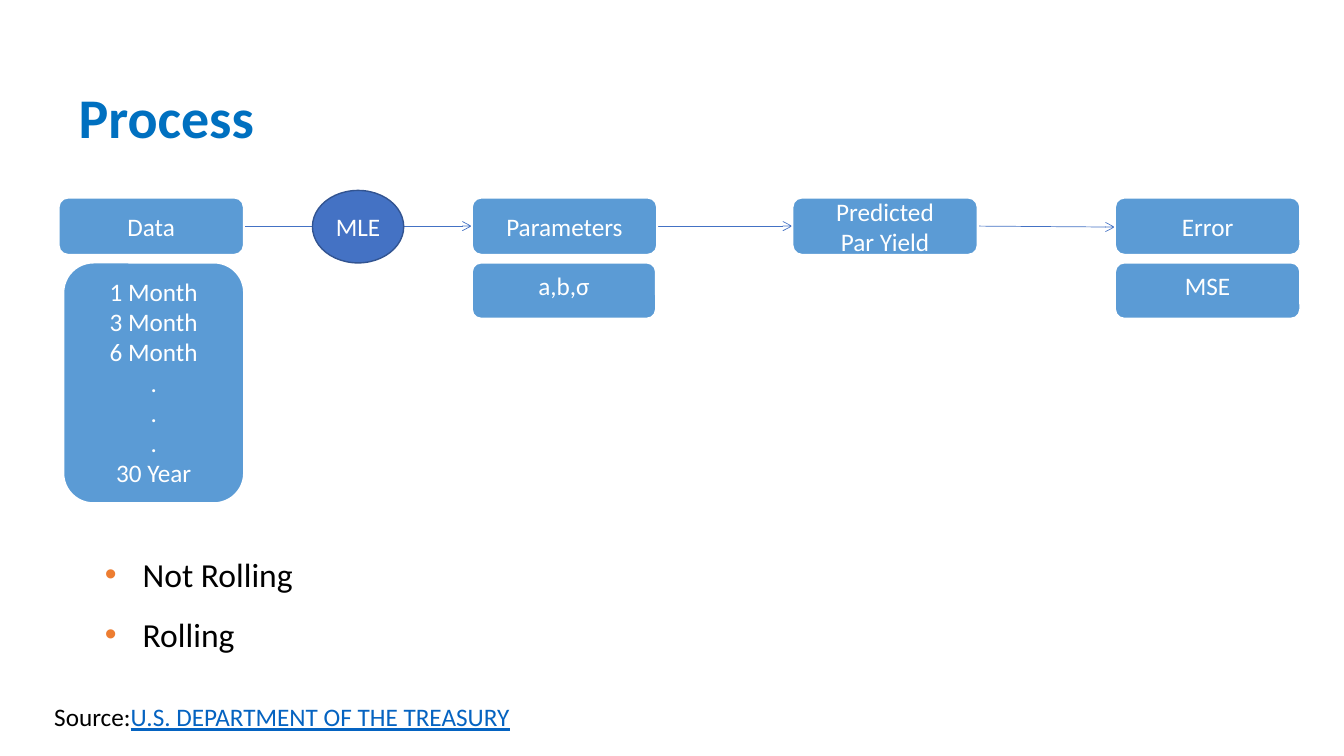
from dataclasses import dataclass

from lxml import etree
from pptx import Presentation
from pptx.dml.color import RGBColor
from pptx.enum.shapes import MSO_CONNECTOR, MSO_SHAPE
from pptx.enum.text import MSO_ANCHOR, MSO_AUTO_SIZE, PP_ALIGN
from pptx.oxml.ns import qn
from pptx.util import Pt

ROUNDED = MSO_SHAPE.ROUNDED_RECTANGLE
OVAL = MSO_SHAPE.OVAL
STRAIGHT = MSO_CONNECTOR.STRAIGHT
TOP, MIDDLE, BOTTOM = MSO_ANCHOR.TOP, MSO_ANCHOR.MIDDLE, MSO_ANCHOR.BOTTOM
LEFT, CENTER = PP_ALIGN.LEFT, PP_ALIGN.CENTER
FIXED, GROW = MSO_AUTO_SIZE.NONE, MSO_AUTO_SIZE.SHAPE_TO_FIT_TEXT

FONT = "Calibri"
WHITE, BLACK = "FFFFFF", "000000"
TITLE_BLUE, BOX_BLUE, ACCENT_BLUE = "0070C0", "5B9BD5", "4472C4"
OVAL_EDGE, LINK_BLUE, BULLET_ORANGE = "325491", "0563C1", "ED7D31"

STEP_TOP, STEP_WIDTH, STEP_HEIGHT = 141.1, 132.4, 41
DETAIL_TOP, DETAIL_HEIGHT = 187.5, 40.2
DATA_X, PARAMETERS_X, YIELD_X, ERROR_X = 41.8, 337, 566, 796.4
ARROW_Y = 161.5


@dataclass
class Node:
    text: str
    left: float
    top: float = STEP_TOP
    width: float = STEP_WIDTH
    height: float = STEP_HEIGHT
    anchor: MSO_ANCHOR = MIDDLE
    kind: MSO_SHAPE = ROUNDED
    fill: str = BOX_BLUE
    edge: str = WHITE
    edge_width: float = 1.5


@dataclass
class Arrow:
    start: float
    end: float
    drop: float = 0


ARROWS = [
    Arrow(DATA_X + STEP_WIDTH, PARAMETERS_X),
    Arrow(PARAMETERS_X + STEP_WIDTH, YIELD_X),
    Arrow(YIELD_X + STEP_WIDTH, ERROR_X, 0.7),
]
NODES = [
    Node("Data", DATA_X),
    Node("Parameters", PARAMETERS_X),
    Node("Predicted\nPar Yield", YIELD_X),
    Node("Error", ERROR_X),
    Node("MLE", 223.2, 136, 65.2, 51.8, kind=OVAL, fill=ACCENT_BLUE,
         edge=OVAL_EDGE, edge_width=1),
    Node("1 Month\n3 Month\n6 Month\n.\n.\n.\n30 Year", 45.2, DETAIL_TOP,
         129.2, 172, TOP),
    Node("a,b,σ", PARAMETERS_X, DETAIL_TOP, 131.6, DETAIL_HEIGHT, TOP),
    Node("MSE", ERROR_X, DETAIL_TOP, STEP_WIDTH, DETAIL_HEIGHT, TOP),
]


def color(value: str) -> RGBColor:
    return RGBColor.from_string(value)


def place(shape, left: float, top: float, width: float, height: float) -> None:
    shape.left, shape.top = Pt(left), Pt(top)
    shape.width, shape.height = Pt(width), Pt(height)


def write(shape, text: str, size: float, ink: str, align: PP_ALIGN = LEFT,
          anchor: MSO_ANCHOR = TOP, fit: MSO_AUTO_SIZE = FIXED) -> None:
    frame = shape.text_frame
    frame.text = text
    frame.word_wrap = True
    frame.auto_size = fit
    frame.vertical_anchor = anchor
    for para in frame.paragraphs:
        para.alignment = align
        para.space_before = Pt(0)
        for span in para.runs:
            style(span, size, ink)


def style(span, size: float, ink: str) -> None:
    span.font.name = FONT
    span.font.size = Pt(size)
    span.font.color.rgb = color(ink)


def add_node(page, node: Node) -> None:
    box = page.shapes.add_shape(node.kind, Pt(node.left), Pt(node.top),
                                Pt(node.width), Pt(node.height))
    box.shadow.inherit = False
    box.fill.solid()
    box.fill.fore_color.rgb = color(node.fill)
    box.line.color.rgb = color(node.edge)
    box.line.width = Pt(node.edge_width)
    write(box, node.text, 18, WHITE, CENTER, node.anchor)


def add_arrow(page, arrow: Arrow) -> None:
    connector = page.shapes.add_connector(
        STRAIGHT, Pt(arrow.start), Pt(ARROW_Y),
        Pt(arrow.end), Pt(ARROW_Y + arrow.drop))
    connector.line.color.rgb = color(ACCENT_BLUE)
    connector.line.width = Pt(0.5)
    properties = connector.element.spPr
    outline = properties.find(qn("a:ln"))
    etree.SubElement(outline, qn("a:tailEnd"), type="arrow")
    etree.SubElement(properties, qn("a:effectLst"))


def add_bullet(para) -> None:
    para.line_spacing = 1.5
    properties = para._p.get_or_add_pPr()
    properties.set("marL", str(Pt(27)))
    properties.set("indent", str(Pt(-27)))
    tint = etree.SubElement(properties, qn("a:buClr"))
    etree.SubElement(tint, qn("a:srgbClr"), val=BULLET_ORANGE)
    etree.SubElement(properties, qn("a:buFont"), typeface="Arial")
    etree.SubElement(properties, qn("a:buChar"), char="•")


def add_title(page) -> None:
    title = page.shapes.title
    place(title, 49, 24.5, 831.6, 90)
    write(title, "Process", 40, TITLE_BLUE, anchor=BOTTOM)
    title.text_frame.margin_bottom = Pt(7.2)
    title.text_frame.paragraphs[0].runs[0].font.bold = True


def add_list(page) -> None:
    body = page.placeholders[1]
    place(body, 67.7, 377.3, 793.4, 94.3)
    write(body, "Not Rolling\nRolling", 24, BLACK, fit=GROW)
    for para in body.text_frame.paragraphs:
        add_bullet(para)


def add_source(page) -> None:
    box = page.shapes.add_textbox(Pt(31.7), Pt(497.5), Pt(460.8), Pt(29))
    write(box, "Source:", 18, BLACK, fit=GROW)
    span = box.text_frame.paragraphs[0].add_run()
    span.text = "U.S. DEPARTMENT OF THE TREASURY"
    style(span, 18, LINK_BLUE)
    span.font.underline = True


def main() -> None:
    deck = Presentation()
    deck.slide_width, deck.slide_height = Pt(960), Pt(540)
    page = deck.slides.add_slide(deck.slide_layouts[1])
    add_title(page)
    add_list(page)
    for arrow in ARROWS:
        add_arrow(page, arrow)
    for node in NODES:
        add_node(page, node)
    add_source(page)
    deck.save("out.pptx")


if __name__ == "__main__":
    main()
